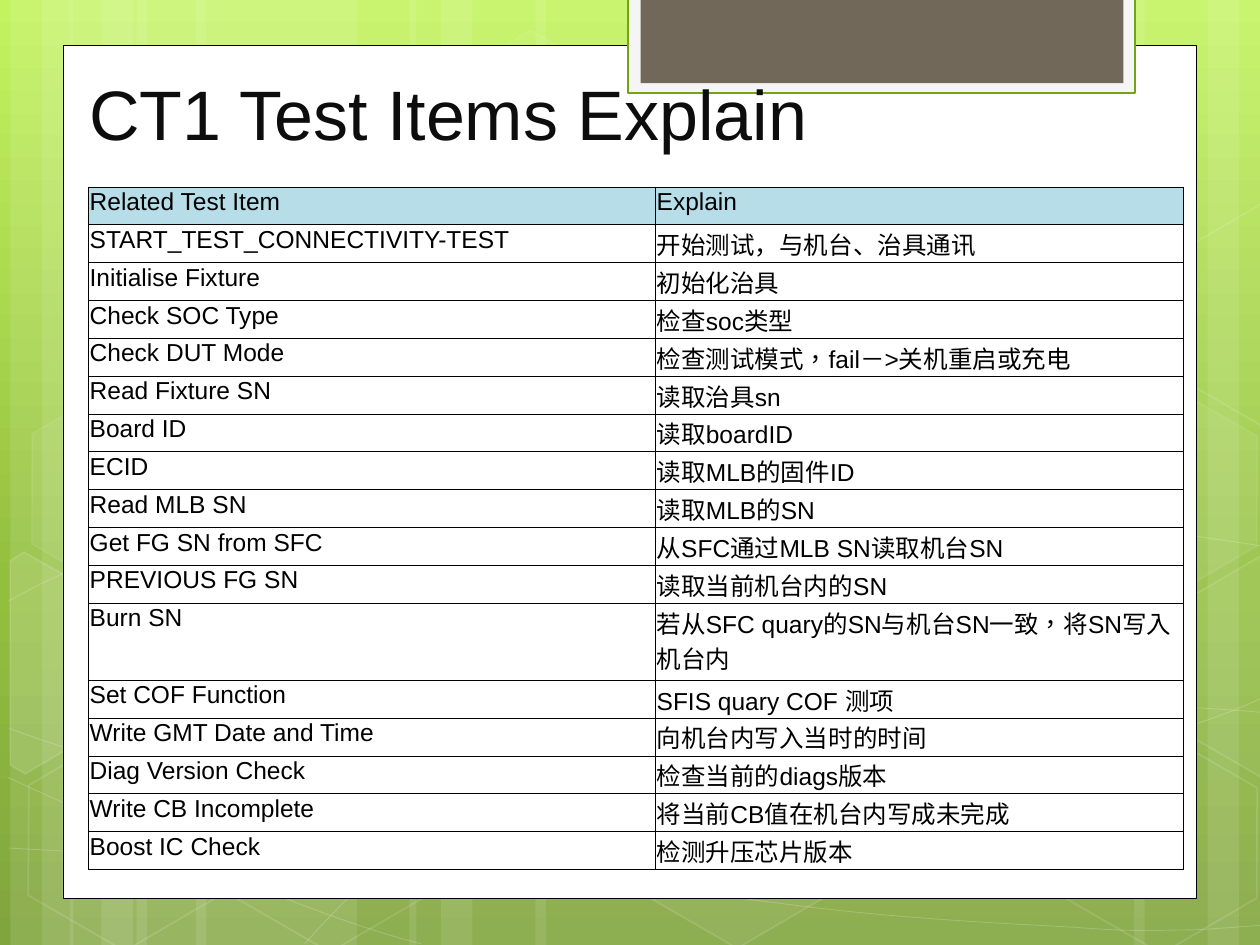
from copy import deepcopy
from dataclasses import dataclass
from math import cos, radians, sin
from lxml import etree
from pptx import Presentation
from pptx.dml.color import RGBColor
from pptx.enum.lang import MSO_LANGUAGE_ID
from pptx.enum.shapes import MSO_SHAPE
from pptx.enum.text import MSO_ANCHOR
from pptx.oxml.ns import qn
from pptx.util import Pt

RECTANGLE, HEXAGON = MSO_SHAPE.RECTANGLE, MSO_SHAPE.HEXAGON
TOP, MIDDLE, BOTTOM = MSO_ANCHOR.TOP, MSO_ANCHOR.MIDDLE, MSO_ANCHOR.BOTTOM
TRADITIONAL = MSO_LANGUAGE_ID.TRADITIONAL_CHINESE


@dataclass
class Theme:
    """Colours, font and type sizes of the slide."""
    font: str = "Arial"
    title_size: int = 40
    table_size: int = 14
    title: str = "0D0D0D"
    black: str = "000000"
    white: str = "FFFFFF"
    tab_frame: str = "F5F5F5"
    tab_line: str = "74A510"
    tab: str = "71685A"
    header: str = "B7DEE8"
    backdrop: tuple = ((0, "C3F35F"), (0.62, "93BF3F"), (1, "81A53E"))


theme = Theme()


def paint(shape, fill=None, fill_alpha=100, line=None, weight=1, line_alpha=100):
    """Set fill and outline, each with an opacity in percent."""
    shape.shadow.inherit = False
    frame = shape._element.spPr
    for target, tag, color, alpha in ((shape.fill, None, fill, fill_alpha),
                                      (shape.line.fill, "a:ln", line, line_alpha)):
        if color is None:
            target.background()
            continue
        target.solid()
        target.fore_color.rgb = RGBColor.from_string(color)
        if alpha < 100:
            holder = frame.find(qn(tag)) if tag else frame
            tint = holder.find(qn("a:solidFill"))[0]
            etree.SubElement(tint, qn("a:alpha"), val=str(alpha * 1000))
    if line:
        shape.line.width = Pt(weight)


def draw_outline(points, close):
    """Draw straight segments through points and return the shape."""
    corners = [(Pt(x), Pt(y)) for x, y in points]
    builder = page.shapes.build_freeform(*corners[0], scale=1.0)
    builder.add_line_segments(corners[1:], close=close)
    return builder.convert_to_shape()


deck = Presentation()
deck.slide_width, deck.slide_height = Pt(720), Pt(540)
page = deck.slides.add_slide(deck.slide_layouts[6])

# Background gradient
backdrop = page.background.fill
backdrop.gradient()
backdrop.gradient_angle = 270
stop_list = next(page._element.iter(qn("a:gsLst")))
stop_list.append(deepcopy(stop_list[0]))
for stop, (position, color) in zip(backdrop.gradient_stops, theme.backdrop):
    stop.position = position
    stop.color.rgb = RGBColor.from_string(color)

# Vertical stripes: a wide, a narrow and a medium band per set
for origin, wide, direction in ((6, 126, 1), (40, 126, 1), (726, 126, -1), (234, 222, 1)):
    for offset, width in ((72, wide), (0, 36), (18, 60)):
        left = origin + offset if direction == 1 else origin - offset - width
        stripe = page.shapes.add_shape(RECTANGLE, Pt(left), 0, Pt(width), Pt(540))
        stripe.rotation = 0 if direction == 1 else 180
        paint(stripe, theme.white, 10)

# Sweeping lines: a start point, then three points per cubic curve
sweeps = [
    [(5, 484.6), (43.9, 486.7), (82.8, 488.9), (136.8, 488.2), (190.8, 487.4), (257.8, 486),
     (329.8, 478.8), (401.8, 471.6), (504, 457.9), (570.2, 444.2), (635.8, 430.6),
     (703.4, 409), (725, 396.7)],
    [(5, 343.4), (25.9, 331.9), (46.8, 321.1), (87.1, 310.3), (128.2, 299.5), (186.5, 283.7),
     (249.8, 278.6), (313.9, 273.6), (391.7, 272.9), (470.9, 278.6), (550.1, 284.4),
     (681.8, 306.7), (725, 312.5)],
    [(4.3, 444.2), (91.4, 483.8), (177.8, 523.4), (240.5, 539.3)],
    [(5, 416.2), (27.4, 424.1), (50.4, 432), (92.2, 443.5), (133.9, 454.3), (196.6, 472.3),
     (257, 484.6), (316.8, 496.8), (392.4, 509.8), (452.2, 517), (511.9, 524.9), (576, 527.8),
     (614.2, 529.9), (651.6, 532.8), (661.7, 531.4), (680.4, 531.4), (699.1, 530.6),
     (712.1, 529.2), (725, 528.5)],
    [(174.2, 539.3), (187.2, 524.9), (200.2, 510.5), (217.4, 497.5), (234.7, 484.6),
     (259.2, 470.2), (279.4, 460.1), (299.5, 450.7), (311.8, 445.7), (338.4, 438.5),
     (364.3, 431.3), (412.6, 421.2), (437.8, 416.2), (463.7, 411.1), (467.3, 411.1),
     (489.6, 409.7), (511.9, 407.5), (547.2, 405.4), (571.7, 404.6), (596.9, 403.9),
     (637.9, 404.6), (637.9, 404.6), (654, 404.6), (670, 404.6), (686.2, 404.6),
     (699.1, 405.4), (711.4, 406.1), (717.8, 406.8), (724.3, 407.5), (722, 406.8),
     (724.3, 407.5)],
]
for knots in sweeps:
    sweep = draw_outline(knots, False)
    paint(sweep, line=theme.white, weight=0.5, line_alpha=20)
    route = next(sweep._element.iter(qn("a:path")))
    segments = route.findall(qn("a:lnTo"))
    for first in range(0, len(segments), 3):
        curve = etree.SubElement(route, qn("a:cubicBezTo"))
        for segment in segments[first:first + 3]:
            curve.append(segment[0])
            route.remove(segment)

# Honeycomb: left, top, fill opacity, line opacity
for left, top, fill_alpha, line_alpha in (
        (240.5, 26, 4, 8), (358, 424, 6, 12), (8, 425.5, 0, 12), (10, 224.6, 7, 8),
        (125.3, 426.2, 0, 12), (542.2, 326.2, 10, 12), (600.5, 427, 0, 12),
        (600.5, 226, 7, 8)):
    cell = page.shapes.add_shape(HEXAGON, Pt(left), Pt(top), Pt(126), Pt(109.4))
    cell.adjustments[0] = 0.285
    cell.rotation = 30
    paint(cell, theme.white if fill_alpha else None, fill_alpha, theme.white, 1, line_alpha)

# Cut cells at the slide edges, turned like the whole ones
TILT = 30
left_edge = [(5.8, 320.4), (13.7, 315.4), (69.1, 347), (68.4, 410.4), (14.4, 442.1), (5.8, 437)]
right_edge = [(666.7, 349.2), (720.7, 317.5), (726.5, 321.1), (726.5, 441.4), (721.4, 444.2),
              (666.7, 412.6)]
upper_edge = [(x, y - 201) for x, y in right_edge]
for points, center_x, center_y, fill_alpha in (
        (left_edge, 25.9, 385.2, 10), (right_edge, 709.2, 374.4, 4), (upper_edge, 709.2, 173.4, 0)):
    c, s = cos(radians(TILT)), sin(radians(TILT))
    upright = [(center_x + (x - center_x) * c + (y - center_y) * s,
                center_y - (x - center_x) * s + (y - center_y) * c) for x, y in points]
    cut_cell = draw_outline(upright, True)
    cut_cell.rotation = TILT
    paint(cut_cell, theme.white if fill_alpha else None, fill_alpha, theme.white, 1, 12)

# White panel and the tab at its top
for left, top, width, height, fill, line, weight in (
        (36, 26, 648, 487.3, theme.white, theme.black, 0.5),
        (359, -1.5, 289.6, 54.7, theme.tab_frame, theme.tab_line, 1.25),
        (366, -1.5, 276, 49, theme.tab, None, 0)):
    panel = page.shapes.add_shape(RECTANGLE, Pt(left), Pt(top), Pt(width), Pt(height))
    paint(panel, fill, line=line, weight=weight)

# Title
title = page.shapes.add_textbox(Pt(44), Pt(2), Pt(553), Pt(90)).text_frame
title.word_wrap = True
title.vertical_anchor = BOTTOM
para = title.paragraphs[0]
para.text = "CT1 Test Items Explain"
para.font.name, para.font.size = theme.font, Pt(theme.title_size)
para.font.color.rgb = RGBColor.from_string(theme.title)

# Table of test items
items = [
    ("Related Test Item", "Explain"),
    ("START_TEST_CONNECTIVITY-TEST", "开始测试，与机台、治具通讯"),
    ("Initialise Fixture", "初始化治具"),
    ("Check SOC Type", "检查soc类型"),
    ("Check DUT Mode", "检查测试模式，fail－>关机重启或充电"),
    ("Read Fixture SN", "读取治具sn"),
    ("Board ID", "读取boardID"),
    ("ECID", "读取MLB的固件ID"),
    ("Read MLB SN", "读取MLB的SN"),
    ("Get FG SN from SFC", "从SFC通过MLB SN读取机台SN"),
    ("PREVIOUS FG SN", "读取当前机台内的SN"),
    ("Burn SN", "若从SFC quary的SN与机台SN一致，将SN写入机台内"),
    ("Set COF Function", "SFIS quary COF 测项"),
    ("Write GMT Date and Time", "向机台内写入当时的时间"),
    ("Diag Version Check", "检查当前的diags版本"),
    ("Write CB Incomplete", "将当前CB值在机台内写成未完成"),
    ("Boost IC Check", "检测升压芯片版本"),
]
table = page.shapes.add_table(len(items), 2, Pt(50.5), Pt(106.8), Pt(626), Pt(390)).table
table.first_row = table.horz_banding = False
table.columns[0].width, table.columns[1].width = Pt(324), Pt(302)
for row, texts in enumerate(items):
    table.rows[row].height = Pt(44 if texts[0] == "Burn SN" else 21.63)
    for column, text in enumerate(texts):
        cell = table.cell(row, column)
        cell.margin_left = cell.margin_right = cell.margin_top = Pt(0.75)
        cell.margin_bottom = 0
        cell.vertical_anchor = MIDDLE if (row, column) == (len(items) - 1, 1) else TOP
        para = cell.text_frame.paragraphs[0]
        para.text = text
        para.font.name, para.font.size = theme.font, Pt(theme.table_size)
        para.font.color.rgb = RGBColor.from_string(theme.black)
        if "，" in text and row > 1:
            para.runs[0].font.language_id = TRADITIONAL
        if row == 0:
            cell.fill.solid()
            cell.fill.fore_color.rgb = RGBColor.from_string(theme.header)
        else:
            cell.fill.background()
        properties = cell._tc.get_or_add_tcPr()
        for order, side in enumerate(("a:lnL", "a:lnR", "a:lnT", "a:lnB")):
            border = etree.Element(qn(side), w=str(Pt(0.5)))
            ink = etree.SubElement(border, qn("a:solidFill"))
            etree.SubElement(ink, qn("a:srgbClr"), val=theme.black)
            properties.insert(order, border)

deck.save("out.pptx")
